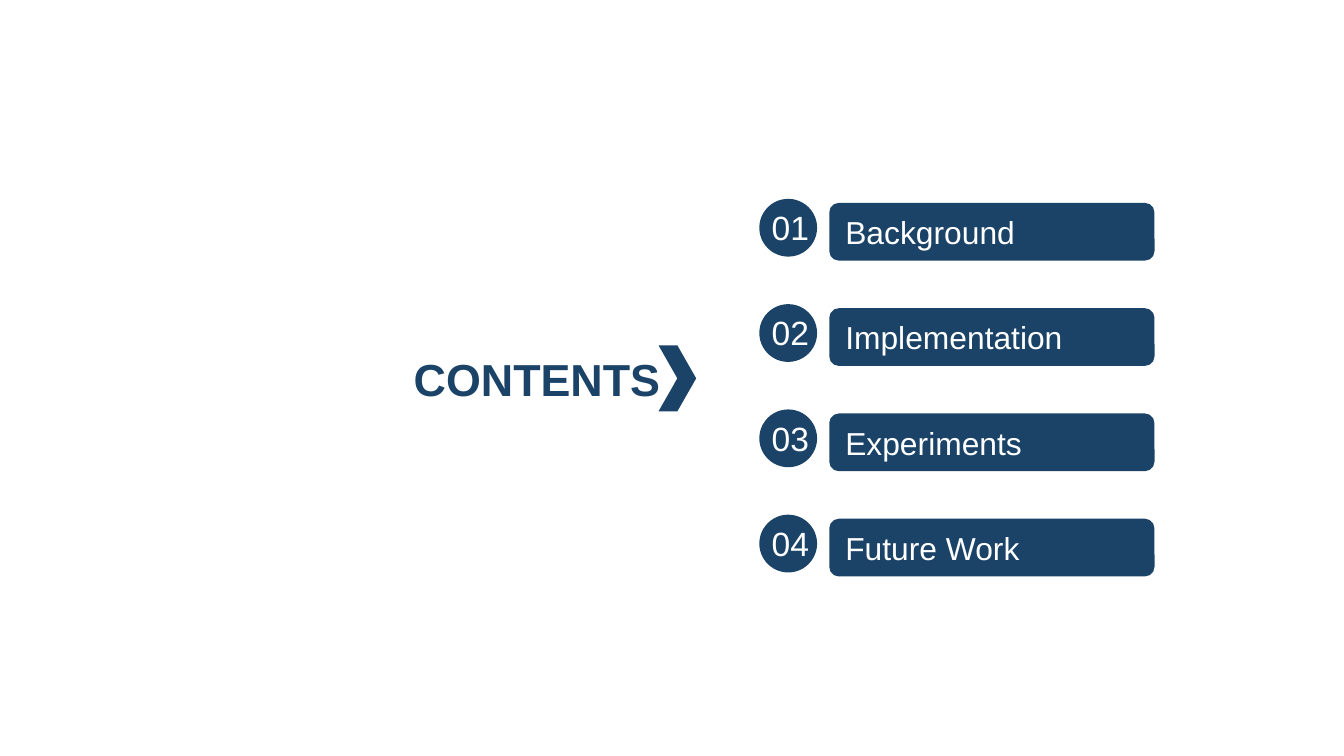
from pptx import Presentation
from pptx.dml.color import RGBColor
from pptx.enum.shapes import MSO_SHAPE
from pptx.enum.text import MSO_ANCHOR, PP_ALIGN
from pptx.util import Inches, Pt

BAR, DISC, ARROW = MSO_SHAPE.ROUNDED_RECTANGLE, MSO_SHAPE.OVAL, MSO_SHAPE.CHEVRON
MIDDLE, BOTTOM = MSO_ANCHOR.MIDDLE, MSO_ANCHOR.BOTTOM
LEFT, CENTER = PP_ALIGN.LEFT, PP_ALIGN.CENTER
COLORS = {"navy": "1B4367", "white": "FFFFFF"}
FONT = "Arial"
TOPICS = ["Background", "Implementation", "Experiments", "Future Work"]


def color(name):
    return RGBColor.from_string(COLORS[name])


def add_solid(slide, kind, x, y, w, h):
    """Add a navy shape without outline or shadow."""
    shape = slide.shapes.add_shape(kind, Inches(x), Inches(y), Inches(w), Inches(h))
    shape.shadow.inherit = False
    shape.fill.solid()
    shape.fill.fore_color.rgb = color("navy")
    shape.line.fill.background()
    return shape


def add_box(slide, x, y, w, h):
    return slide.shapes.add_textbox(Inches(x), Inches(y), Inches(w), Inches(h))


def write(shape, text, size, tint, align=LEFT, anchor=BOTTOM, bold=False):
    frame = shape.text_frame
    frame.word_wrap = True
    frame.vertical_anchor = anchor
    para = frame.paragraphs[0]
    para.alignment = align
    run = para.add_run()
    run.text = text
    run.font.name = FONT
    run.font.size = Pt(size)
    run.font.bold = bold
    run.font.color.rgb = color(tint)


def add_title(slide, x, y, w, h):
    box = add_box(slide, x, y, w, h)
    write(box, "CONTENTS", 24, "navy", bold=True)
    add_solid(slide, ARROW, x + 1.92, y, 0.28, 0.49)


def add_topic(slide, num, topic, x, y, w, h):
    """Add a numbered disc with a bar beside it."""
    bar = add_solid(slide, BAR, x + 0.55, y + 0.03, w - 0.55, h)
    write(bar, topic, 17, "white", anchor=MIDDLE)
    add_solid(slide, DISC, x + 0.03, y, h, h)
    label = add_box(slide, x, y + 0.01, 0.52, 0.4)
    write(label, f"{num:02}", 18, "white", CENTER)


def add_list(slide, x, y, w, h):
    row = 0.43
    pitch = (h - row) / (len(TOPICS) - 1)
    for i, topic in enumerate(TOPICS):
        add_topic(slide, i + 1, topic, x, y + i * pitch, w, row)


def main():
    deck = Presentation()
    deck.slide_width = Inches(10)
    deck.slide_height = deck.slide_width * 9 // 16
    slide = deck.slides.add_slide(deck.slide_layouts[6])
    add_title(slide, 2.98, 2.57, 2.31, 0.5)
    add_list(slide, 5.62, 1.48, 2.97, 2.78)
    deck.save("out.pptx")


if __name__ == "__main__":
    main()
